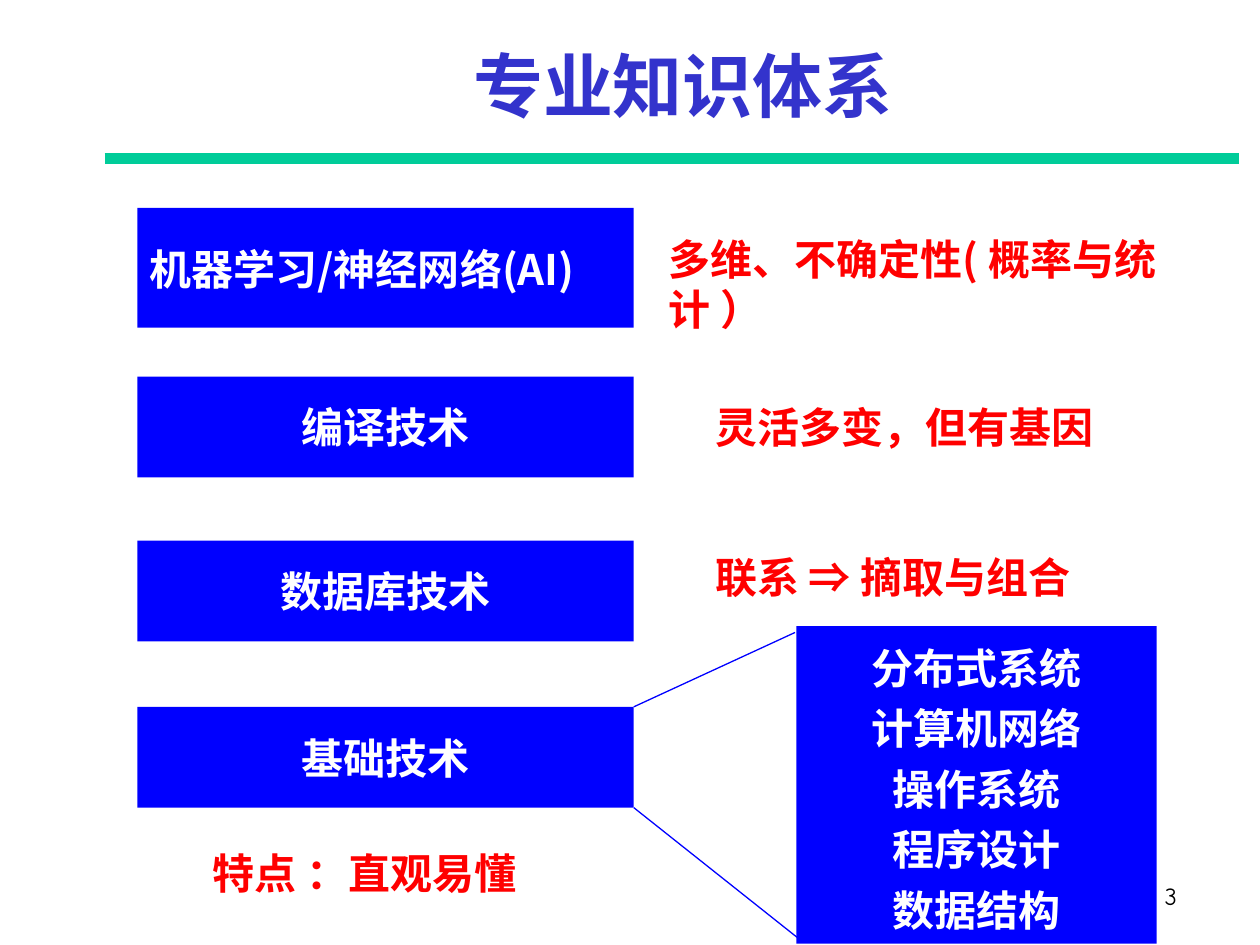
from lxml import etree
from pptx import Presentation
from pptx.dml.color import RGBColor
from pptx.enum.shapes import MSO_CONNECTOR, MSO_SHAPE
from pptx.enum.text import MSO_ANCHOR, PP_ALIGN
from pptx.oxml.ns import qn
from pptx.util import Inches, Pt

STRAIGHT = MSO_CONNECTOR.STRAIGHT
RECT = MSO_SHAPE.RECTANGLE
LEFT, CENTER, RIGHT = PP_ALIGN.LEFT, PP_ALIGN.CENTER, PP_ALIGN.RIGHT
TOP, MIDDLE = MSO_ANCHOR.TOP, MSO_ANCHOR.MIDDLE

COLORS = {"title": "3333CC", "rule": "00CC99", "box": "0000FF",
          "box_text": "FFFFFF", "note": "FF0000", "number": "000000"}
CJK, LATIN = "Noto Sans CJK SC", "Comic Neue"
WIDTH, HEIGHT = Inches(10), Inches(7.5)
COL, ROW = WIDTH / 100, HEIGHT / 75

BOX_LEFT, BOX_WIDTH, BOX_HEIGHT = 10.9, 39.4, 8
BOX_RIGHT = BOX_LEFT + BOX_WIDTH
PAD = 2
LAYERS = [
    ("机器学习/神经网络(AI)", 16.5, 9.5, 2.8, LEFT),
    ("编译技术", 29.9, BOX_HEIGHT, PAD, CENTER),
    ("数据库技术", 42.9, BOX_HEIGHT, PAD, CENTER),
    ("基础技术", 56.1, BOX_HEIGHT, PAD, CENTER),
]
NOTES = [
    ("多维、不确定性( 概率与统计 ）", 52.1, 16.5, 47.9),
    ("灵活多变，但有基因", 55.8, 29.9, 37.8),
    ("联系 ⇒ 摘取与组合", 55.8, 41.8, 34.7),
    ("特点 ：直观易懂", 15.9, 65.3, 29.3),
]
BASICS = ["分布式系统", "计算机网络", "操作系统", "程序设计", "数据结构"]
BASICS_BOX = (63.2, 49.7, 28.6, 25.2)


def color(name):
    return RGBColor.from_string(COLORS[name])


def place(left, top, width, height):
    return [round(v) for v in (left * COL, top * ROW, width * COL, height * ROW)]


def write(sp, lines, tint, size=24, align=LEFT, anchor=TOP, pad=0.5,
          spacing=1.0, font=CJK, bold=True):
    tf = sp.text_frame
    tf.word_wrap = True
    tf.vertical_anchor = anchor
    tf.margin_left = tf.margin_right = round(COL)
    tf.margin_top = tf.margin_bottom = round(pad * ROW)
    for i, line in enumerate(lines):
        p = tf.add_paragraph() if i else tf.paragraphs[0]
        p.alignment = align
        p.line_spacing = spacing
        r = p.add_run()
        r.text = line
        r.font.size = Pt(size)
        r.font.bold = bold
        r.font.name = font
        r.font.color.rgb = color(tint)
        ea = etree.SubElement(r.font._element, qn("a:ea"))
        ea.set("typeface", font)


def add_text(s, box, text, tint, **style):
    sp = s.shapes.add_textbox(*place(*box))
    write(sp, [text], tint, **style)


def add_box(s, box, lines, **style):
    sp = s.shapes.add_shape(RECT, *place(*box))
    sp.shadow.inherit = False
    sp.fill.solid()
    sp.fill.fore_color.rgb = color("box")
    sp.line.fill.background()
    write(sp, lines, "box_text", **style)


def add_line(s, start, end, tint, weight):
    cx = s.shapes.add_connector(STRAIGHT, *place(*start, *end))
    cx.line.color.rgb = color(tint)
    cx.line.width = Pt(weight)
    etree.SubElement(cx._element.spPr, qn("a:effectLst"))


def main():
    prs = Presentation()
    prs.slide_width, prs.slide_height = WIDTH, HEIGHT
    s = prs.slides.add_slide(prs.slide_layouts[6])

    add_line(s, (8.3, 12.6), (98.3, 12.6), "rule", 6)
    add_text(s, (73.6, 69.4, 20.8, 5), "3", "number", size=14, align=RIGHT,
             font=LATIN, bold=False)
    add_text(s, (11.7, 1.7, 85, 10), "专业知识体系", "title", size=40,
             align=CENTER, anchor=MIDDLE)

    add_box(s, BASICS_BOX, BASICS, align=CENTER, spacing=1.2)
    for text, top, height, pad, align in LAYERS:
        add_box(s, (BOX_LEFT, top, BOX_WIDTH, height), [text], pad=pad, align=align)

    base_top = LAYERS[-1][1]
    add_line(s, (63.1, 50.2), (BOX_RIGHT, base_top), "box", 0.75)
    add_line(s, (63.4, 74.5), (BOX_RIGHT, base_top + BOX_HEIGHT), "box", 0.75)

    for text, left, top, width in NOTES:
        add_text(s, (left, top, width, BOX_HEIGHT), text, "note", pad=PAD)

    prs.save("out.pptx")


if __name__ == "__main__":
    main()
